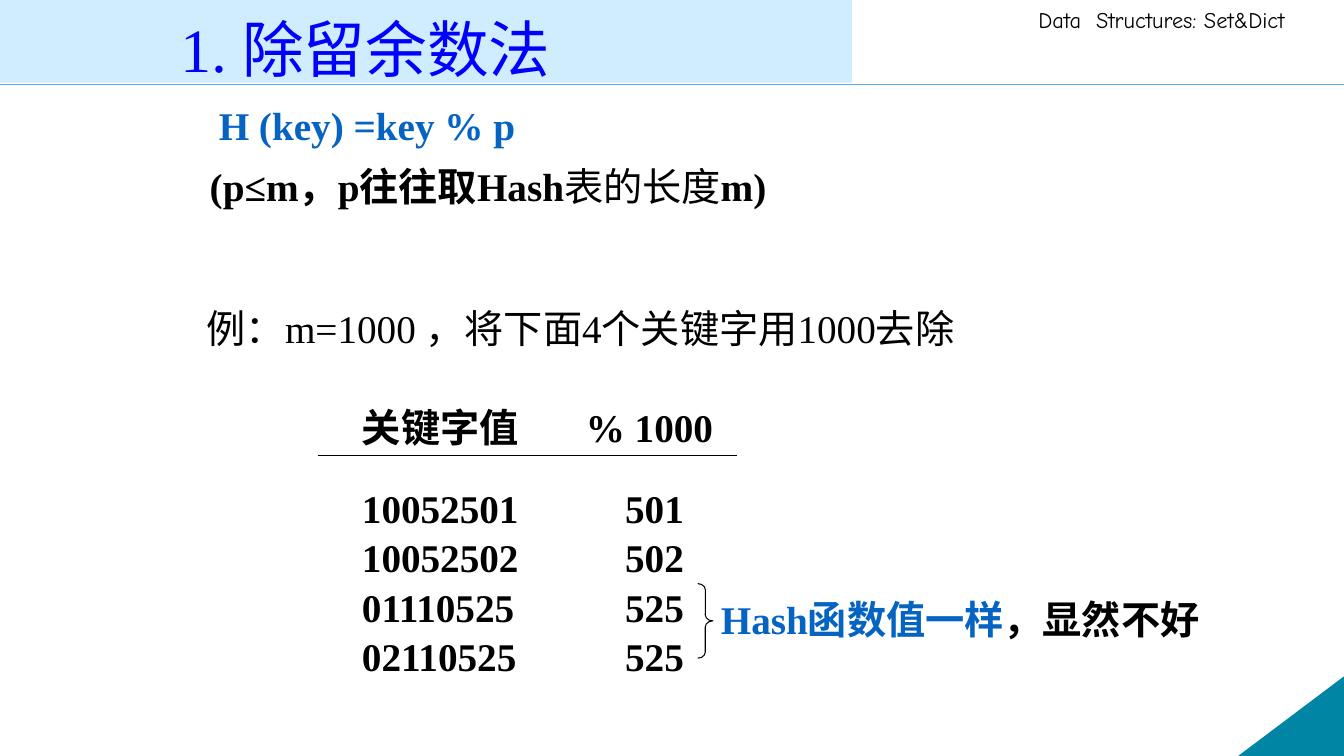
from pptx import Presentation
from pptx.dml.color import RGBColor
from pptx.enum import shapes, text
from pptx.oxml.ns import qn
from pptx.util import Inches, Pt
from lxml import etree

COLORS = {
    "black": "000000",
    "blue": "0563C1",
    "title": "0000FF",
    "band": "CFEDFE",
    "rule": "5AAAED",
    "corner": "0085A4",
}
SERIF = "Times New Roman"


def add_run(paragraph, words, size=28, color="black", bold=True, name=SERIF):
    run = paragraph.add_run()
    run.text = words
    run.font.size = Pt(size)
    run.font.bold = bold
    run.font.name = name
    run.font.color.rgb = RGBColor.from_string(COLORS[color])


def add_rule(left, right, top, color, width):
    line = slide.shapes.add_connector(
        shapes.MSO_CONNECTOR.STRAIGHT, Inches(left), Inches(top), Inches(right), Inches(top))
    line.line.color.rgb = RGBColor.from_string(COLORS[color])
    line.line.width = Pt(width)
    etree.SubElement(line._element.spPr, qn("a:effectLst"))


presentation = Presentation()
presentation.slide_width = Inches(13.33)
presentation.slide_height = Inches(7.5)
slide = presentation.slides.add_slide(presentation.slide_layouts[1])
title, body = slide.placeholders

band = slide.shapes.add_shape(
    shapes.MSO_SHAPE.RECTANGLE, Inches(-0.03), Inches(-0.07), Inches(8.48), Inches(0.89))
corner = slide.shapes.add_shape(
    shapes.MSO_SHAPE.RIGHT_TRIANGLE, Inches(12.28), Inches(6.71), Inches(1.05), Inches(0.79))
corner._element.spPr.find(qn("a:xfrm")).set("flipH", "1")
for shape, color in ((band, "band"), (corner, "corner")):
    shape.shadow.inherit = False
    shape.fill.solid()
    shape.fill.fore_color.rgb = RGBColor.from_string(COLORS[color])
    shape.line.fill.background()
slide.shapes._spTree.insert(2, band._element)

add_rule(0, 13.33, 0.84, "rule", 1)
add_rule(3.15, 7.31, 4.52, "black", 0.75)

title.left, title.top = Inches(1.69), Inches(0)
title.width, title.height = Inches(6.7), Inches(0.95)
title.text_frame.auto_size = text.MSO_AUTO_SIZE.NONE
title.text_frame.vertical_anchor = text.MSO_ANCHOR.MIDDLE
title_paragraph = title.text_frame.paragraphs[0]
title_paragraph.alignment = text.PP_ALIGN.LEFT
add_run(title_paragraph, "1. 除留余数法", 44, "title", False)

body.left, body.top = Inches(1.69), Inches(0.95)
body.width, body.height = Inches(9.55), Inches(2.79)
body.text_frame.auto_size = text.MSO_AUTO_SIZE.NONE
body_lines = [
    (0.38, 0, [("H (key) =key % p", {"color": "blue"})]),
    (0.29, 10, [
        ("(p≤m，p往往取Hash", {}),
        ("表的长度", {"bold": False, "name": "Calibri"}),
        ("m)", {}),
    ]),
    (0.26, 68, [("例：m=1000 ，将下面4个关键字用1000去除", {"bold": False})]),
]
for index, (indent, space, runs) in enumerate(body_lines):
    paragraph = body.text_frame.paragraphs[0] if index == 0 else body.text_frame.add_paragraph()
    properties = paragraph._p.get_or_add_pPr()
    properties.set("marL", str(Inches(indent)))
    properties.set("indent", "0")
    etree.SubElement(properties, qn("a:buNone"))
    paragraph.space_before = Pt(space)
    for words, style in runs:
        add_run(paragraph, words, **style)

header = slide.shapes.add_textbox(Inches(10.2), Inches(0.01), Inches(3.13), Inches(0.37))
header.text_frame.word_wrap = True
add_run(header.text_frame.paragraphs[0], "Data  Structures: Set&Dict", 16, bold=False, name="Comic Neue")

labels = [
    (3.59, 4, 1.73, 0.52, [[("关键字值", "black")]]),
    (5.81, 4, 1.68, 0.52, [[("% 1000", "black")]]),
    (3.59, 4.78, 1.73, 1.83,
     [[(key, "black")] for key in ("10052501", "10052502", "01110525", "02110525")]),
    (6.2, 4.78, 0.88, 1.83,
     [[(remainder, "black")] for remainder in ("501", "502", "525", "525")]),
    (7.15, 5.91, 5.17, 0.66, [[("Hash函数值一样", "blue"), ("，显然不好", "black")]]),
]
for left, top, width, height, lines in labels:
    box = slide.shapes.add_textbox(Inches(left), Inches(top), Inches(width), Inches(height))
    frame = box.text_frame
    frame.word_wrap = True
    frame.margin_left = frame.margin_right = frame.margin_top = frame.margin_bottom = 0
    for index, runs in enumerate(lines):
        paragraph = frame.paragraphs[0] if index == 0 else frame.add_paragraph()
        paragraph.alignment = text.PP_ALIGN.JUSTIFY
        if len(lines) > 1:
            paragraph.line_spacing = 1.05
        for words, color in runs:
            add_run(paragraph, words, color=color)

brace = slide.shapes.add_shape(
    shapes.MSO_SHAPE.RIGHT_BRACE, Inches(6.92), Inches(5.79), Inches(0.15), Inches(0.74))
brace.adjustments[0] = 0.4
brace.adjustments[1] = 0.5
brace.shadow.inherit = False
brace.fill.background()
brace.line.color.rgb = RGBColor.from_string(COLORS["black"])
brace.line.width = Pt(0.75)

presentation.save("out.pptx")
